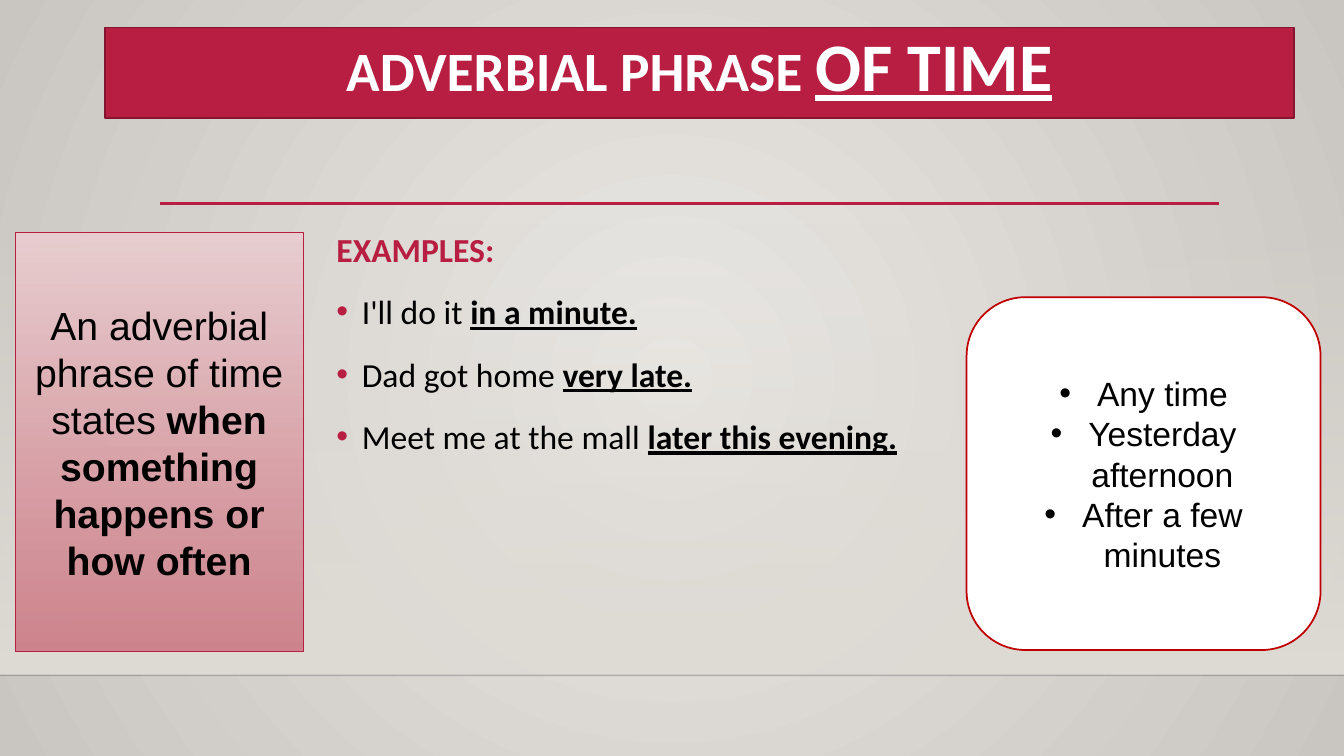
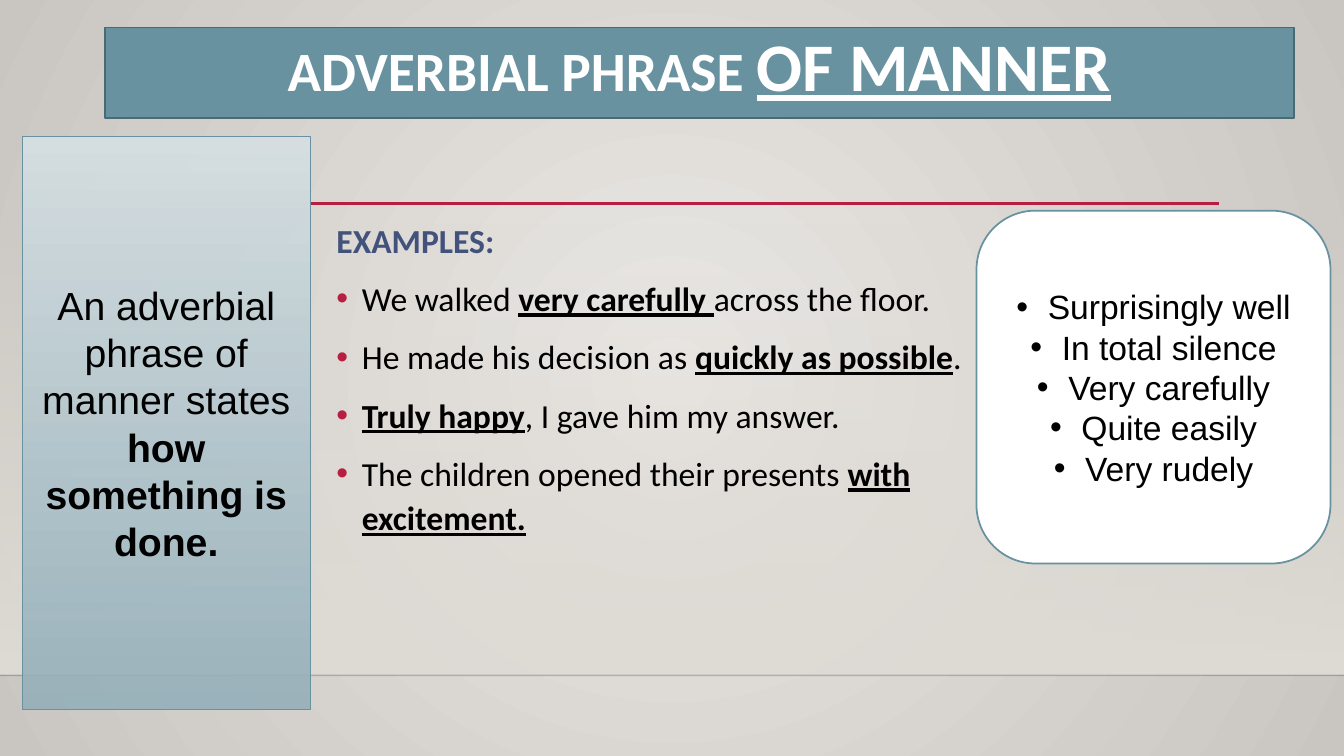
from dataclasses import dataclass

import lxml.etree
import pptx
import pptx.dml.color
import pptx.enum.dml
import pptx.enum.shapes
import pptx.enum.text
import pptx.oxml.ns
import pptx.util

Cm = pptx.util.Cm
Pt = pptx.util.Pt
qn = pptx.oxml.ns.qn
SHAPES = pptx.enum.shapes.MSO_SHAPE
ALIGN = pptx.enum.text.PP_ALIGN
ANCHOR = pptx.enum.text.MSO_ANCHOR

COLORS = {
    "red": "B71E42", "dark red": "851530", "crimson": "C00000",
    "teal": "6892A0", "dark teal": "4B6A74", "navy": "42527C",
    "pink": "E9CED1", "rose": "CD7D87", "mist": "D6DFE2", "sea": "97B1BB",
    "light": "EBE9E6", "stone": "C9C5C0", "sand": "DFDBD5",
    "ink": "000000", "white": "FFFFFF",
}
TITLE = {"name": "Calibri", "size": Pt(39.6), "bold": True}
TOPIC = {**TITLE, "size": Pt(48.6), "underline": True}
BODY = {"name": "Calibri", "size": Pt(24), "bold": False}
PHRASE = {**BODY, "bold": True, "underline": True}
HEAD = {**BODY, "bold": True}
NOTE = {"name": "Arial", "size": Pt(28)}
STRONG = {**NOTE, "bold": True}
CARD = {"name": "Arial", "size": Pt(24)}


@dataclass
class Box:
    left: float
    top: float
    width: float
    height: float

    def place(self) -> tuple:
        return Cm(self.left), Cm(self.top), Cm(self.width), Cm(self.height)


@dataclass
class Stop:
    color: str
    alpha: int = 100


@dataclass
class Theme:
    main: str
    edge: str
    head: str
    card: str
    fade: tuple[str, str]


@dataclass
class Lesson:
    """Text between asterisks is emphasised."""
    topic: str
    theme: Theme
    note: str
    note_box: Box
    lines: list[str]
    body_box: Box
    spacing: float
    cards: list[str]
    card_box: Box
    indent: float


BAND = Box(2.64, 0.69, 29.97, 2.29)
RED = Theme("red", "dark red", "red", "crimson", ("pink", "rose"))
TEAL = Theme("teal", "dark teal", "navy", "teal", ("mist", "sea"))
LESSONS = [
    Lesson(
        "OF TIME", RED,
        "An adverbial phrase of time states *when something happens or how often*",
        Box(0.38, 5.87, 7.26, 10.54),
        ["I'll do it *in a minute.*", "Dad got home *very late.*",
         "Meet me at the mall *later this evening.*"],
        Box(8.23, 5.44, 25.63, 9.58), 1.2,
        ["Any time", "Yesterday afternoon", "After a few minutes"],
        Box(24.36, 7.49, 8.92, 8.89), 0.95),
    Lesson(
        "OF MANNER", TEAL,
        "An adverbial phrase of manner states *how something is done.*",
        Box(0.56, 3.43, 7.26, 14.45),
        ["We walked *very carefully *across the floor.",
         "He made his decision as *quickly as possible*.",
         "*Truly happy*, I gave him my answer.",
         "The children opened their presents *with excitement.*"],
        Box(8.23, 5.31, 16.69, 9.7), 1.1,
        ["Surprisingly well", "In total silence", "Very carefully",
         "Quite easily", "Very rudely"],
        Box(24.61, 5.31, 8.92, 8.89), 0.79),
]


def shade(name: str) -> pptx.dml.color.RGBColor:
    return pptx.dml.color.RGBColor.from_string(COLORS[name])


def add_run(para, text: str, form: dict, color: str = "ink") -> None:
    run = para.add_run()
    run.text = text
    for key, value in form.items():
        setattr(run.font, key, value)
    run.font.color.rgb = shade(color)


def add_marked(para, text: str, plain: dict, strong: dict) -> None:
    """Alternate plain and strong runs at each asterisk."""
    for index, part in enumerate(text.split("*")):
        if part:
            add_run(para, part, strong if index % 2 else plain)


def add_bullet(para, indent: float, color: str) -> None:
    props = para._p.get_or_add_pPr()
    props.set("marL", str(int(Cm(indent))))
    props.set("indent", str(-int(Cm(indent))))
    tint = lxml.etree.SubElement(props, qn("a:buClr"))
    lxml.etree.SubElement(tint, qn("a:srgbClr"), val=COLORS[color])
    lxml.etree.SubElement(props, qn("a:buFont"), typeface="Arial")
    lxml.etree.SubElement(props, qn("a:buChar"), char="•")


def set_alpha(node, alpha: int) -> None:
    if alpha < 100:
        lxml.etree.SubElement(node, qn("a:alpha"), val=str(alpha * 1000))


def blend(fill, root, stops: list[Stop]) -> None:
    """Give the first fill under root a gradient of two stops."""
    fill.gradient()
    for point, stop in zip(fill.gradient_stops, stops):
        point.color.rgb = shade(stop.color)
    for node, stop in zip(root.iter(qn("a:srgbClr")), stops):
        set_alpha(node, stop.alpha)


def add_panel(slide, kind, box: Box):
    panel = slide.shapes.add_shape(kind, *box.place())
    panel.shadow.inherit = False
    panel.text_frame.word_wrap = True
    panel.text_frame.vertical_anchor = ANCHOR.MIDDLE
    return panel


def set_line(shape, color: str, width: float) -> None:
    shape.line.color.rgb = shade(color)
    shape.line.width = Pt(width)


def add_rule(slide, left: float, right: float, top: float,
             color: str, width: float, alpha: int = 100):
    rule = slide.shapes.add_connector(
        pptx.enum.shapes.MSO_CONNECTOR.STRAIGHT,
        Cm(left), Cm(top), Cm(right), Cm(top))
    set_line(rule, color, width)
    set_alpha(next(rule._element.iter(qn("a:srgbClr"))), alpha)
    lxml.etree.SubElement(rule._element.spPr, qn("a:effectLst"))
    return rule


def dress(layout, slide) -> None:
    """Draw the shared backdrop on a slide, then move it to the layout."""
    for holder in list(layout.placeholders):
        if holder.placeholder_format.idx:
            holder.element.getparent().remove(holder.element)
    back = layout.background.fill
    blend(back, layout.element, [Stop("light"), Stop("stone")])
    angle = next(layout.element.iter(qn("a:lin")))
    ring = lxml.etree.Element(qn("a:path"), path="circle")
    lxml.etree.SubElement(ring, qn("a:fillToRect"),
                          {side: "50000" for side in "ltrb"})
    angle.getparent().replace(angle, ring)

    wall = add_panel(slide, SHAPES.RECTANGLE, Box(0, 5.61, 33.87, 11.4))
    blend(wall.fill, wall._element, [Stop("sand", 0), Stop("sand")])
    wall.fill.gradient_angle = 270
    wall.line.fill.background()
    floor = add_rule(slide, 0, 33.87, 17.02, "ink", 1, 20)
    rule = add_rule(slide, 4.04, 30.73, 5.13, "red", 2.5)
    for index, part in enumerate([wall, floor, rule], 2):
        layout.shapes.element.insert(index, part._element)


def add_title(slide, lesson: Lesson) -> None:
    title = slide.shapes.title
    title.left, title.top, title.width, title.height = BAND.place()
    title.fill.solid()
    title.fill.fore_color.rgb = shade(lesson.theme.main)
    set_line(title, lesson.theme.edge, 1.25)
    frame = title.text_frame
    frame.auto_size = pptx.enum.text.MSO_AUTO_SIZE.NONE
    frame.vertical_anchor = ANCHOR.TOP
    para = frame.paragraphs[0]
    para.alignment = ALIGN.CENTER
    para.line_spacing = 0.9
    add_run(para, "ADVERBIAL PHRASE ", TITLE, "white")
    add_run(para, lesson.topic, TOPIC, "white")


def add_body(slide, lesson: Lesson) -> None:
    frame = slide.shapes.add_textbox(*lesson.body_box.place()).text_frame
    frame.word_wrap = True
    para = frame.paragraphs[0]
    para.line_spacing = lesson.spacing
    add_run(para, "EXAMPLES:", HEAD, lesson.theme.head)
    for line in lesson.lines:
        para = frame.add_paragraph()
        para.line_spacing = lesson.spacing
        para.space_before = Pt(10)
        add_bullet(para, 0.64, "red")
        add_marked(para, line, BODY, PHRASE)


def add_note(slide, lesson: Lesson) -> None:
    note = add_panel(slide, SHAPES.RECTANGLE, lesson.note_box)
    start, end = lesson.theme.fade
    blend(note.fill, note._element, [Stop(start), Stop(end, 92)])
    note.fill.gradient_angle = 270
    set_line(note, lesson.theme.main, 0.75)
    para = note.text_frame.paragraphs[0]
    para.alignment = ALIGN.CENTER
    add_marked(para, lesson.note, NOTE, STRONG)


def add_card(slide, lesson: Lesson) -> None:
    card = add_panel(slide, SHAPES.ROUNDED_RECTANGLE, lesson.card_box)
    card.fill.solid()
    card.fill.fore_color.rgb = shade("white")
    set_line(card, lesson.theme.card, 1.25)
    frame = card.text_frame
    for index, text in enumerate(lesson.cards):
        para = frame.add_paragraph() if index else frame.paragraphs[0]
        para.alignment = ALIGN.CENTER
        add_bullet(para, lesson.indent, "ink")
        add_run(para, text, CARD)


def main() -> None:
    deck = pptx.Presentation()
    deck.slide_width, deck.slide_height = Cm(33.87), Cm(19.05)
    layout = deck.slide_layouts[5]
    for index, lesson in enumerate(LESSONS):
        slide = deck.slides.add_slide(layout)
        if index == 0:
            dress(layout, slide)
        for draw in (add_title, add_body, add_note, add_card):
            draw(slide, lesson)
    deck.save("out.pptx")


if __name__ == "__main__":
    main()
